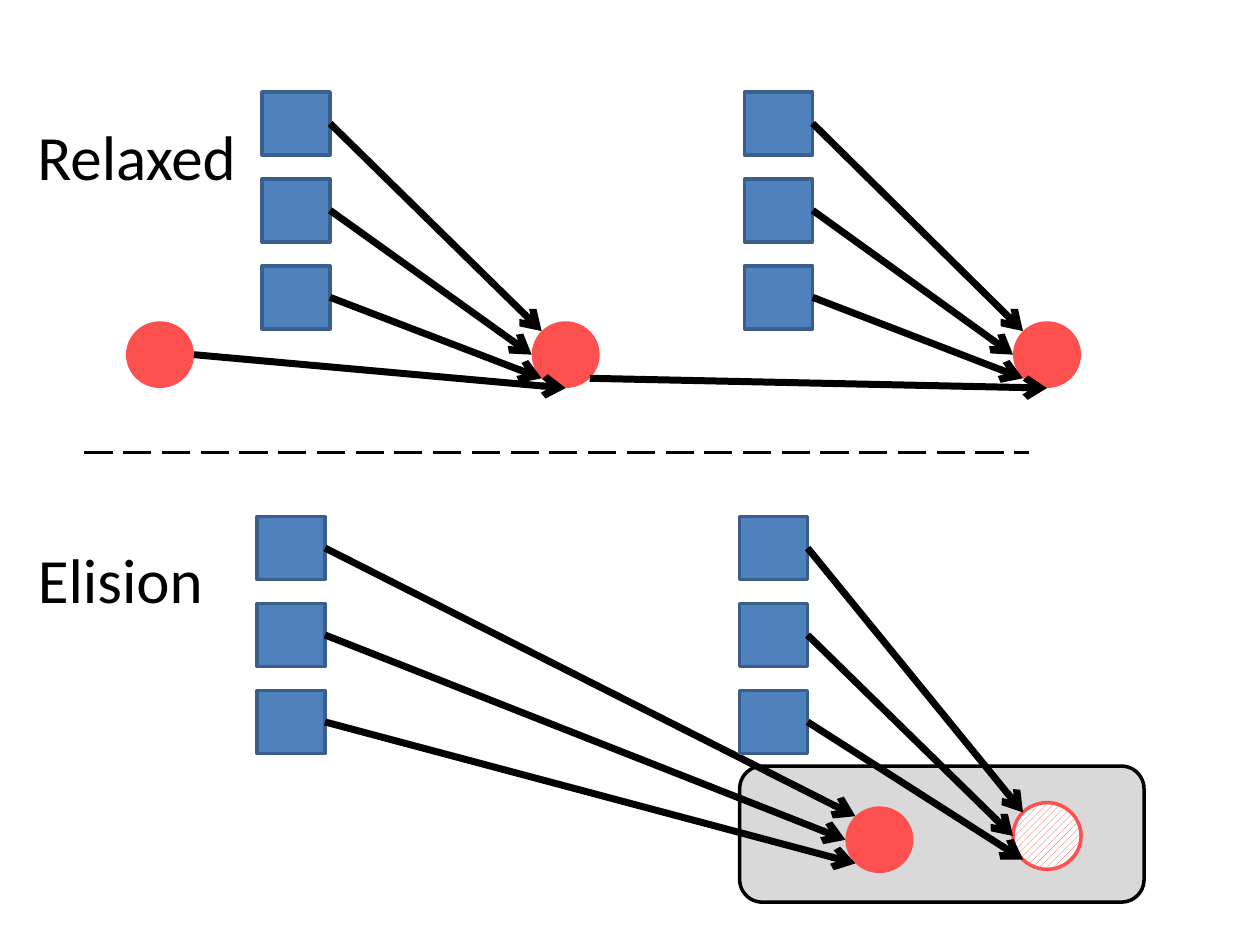
import math
from dataclasses import dataclass

import pptx
import pptx.dml.color
import pptx.enum.dml
import pptx.enum.shapes
import pptx.enum.text
import pptx.oxml
import pptx.oxml.ns
import pptx.util

Inches = pptx.util.Inches
Points = pptx.util.Pt
Shape = pptx.enum.shapes.MSO_SHAPE
color = pptx.dml.color.RGBColor.from_string


@dataclass(frozen=True)
class Theme:
    font: str = "Calibri"
    label_size: int = 36
    ink: str = "000000"
    paper: str = "FFFFFF"
    square: str = "4F81BD"
    square_edge: str = "3A5F8C"
    circle: str = "FF5050"
    panel: str = "D9D9D9"
    outline: int = 2
    arrow: int = 4


THEME = Theme()
SQUARE = (0.54, 0.5)
SQUARE_STEP = 0.69
CIRCLE = (0.54, 0.53)
RIGHT_SIDE = 3


def add_box(slide, kind, left, top, size, fill, edge=None):
    width, height = size
    shape = slide.shapes.add_shape(
        kind, Inches(left), Inches(top), Inches(width), Inches(height))
    shape.shadow.inherit = False
    shape.fill.solid()
    shape.fill.fore_color.rgb = color(fill)
    if edge:
        shape.line.color.rgb = color(edge)
        shape.line.width = Points(THEME.outline)
    else:
        shape.line.fill.background()
    return shape


def add_squares(slide, left, top):
    return [add_box(slide, Shape.RECTANGLE, left, top + row * SQUARE_STEP,
                    SQUARE, THEME.square, THEME.square_edge)
            for row in range(3)]


def add_circle(slide, left, top):
    return add_box(slide, Shape.OVAL, left, top, CIRCLE, THEME.circle)


def add_hatched_circle(slide, left, top):
    circle = add_box(slide, Shape.OVAL, left, top, CIRCLE, THEME.paper, THEME.circle)
    circle.fill.patterned()
    circle.fill.pattern = pptx.enum.dml.MSO_PATTERN.WIDE_UPWARD_DIAGONAL
    circle.fill.fore_color.rgb = color(THEME.circle)
    circle.fill.back_color.rgb = color(THEME.paper)
    return circle


def rim_point(circle, degrees):
    """Point on the circle's edge, clockwise from its right side."""
    angle = math.radians(degrees)
    x = circle.left + circle.width / 2 * (1 + math.cos(angle))
    y = circle.top + circle.height / 2 * (1 + math.sin(angle))
    return round(x), round(y)


def add_line(slide, start, end, width):
    line = slide.shapes.add_connector(
        pptx.enum.shapes.MSO_CONNECTOR.STRAIGHT, *start, *end)
    line.line.color.rgb = color(THEME.ink)
    line.line.width = Points(width)
    pptx.oxml.ns.qn("a:effectLst")
    line._element.spPr.append(pptx.oxml.parse_xml(
        f'<a:effectLst {pptx.oxml.ns.nsdecls("a")}/>'))
    return line


def add_arrow(slide, start, end):
    arrow = add_line(slide, start, end, THEME.arrow)
    outline = arrow._element.spPr.find(pptx.oxml.ns.qn("a:ln"))
    outline.append(pptx.oxml.parse_xml(
        f'<a:tailEnd {pptx.oxml.ns.nsdecls("a")} type="arrow"/>'))
    return arrow


def add_fan(slide, squares, circle):
    """Arrows from each square to the upper left, left and lower left rim."""
    for square, degrees in zip(squares, (225, 180, 135)):
        start = (square.left + square.width, square.top + square.height // 2)
        arrow = add_arrow(slide, start, rim_point(circle, degrees))
        arrow.begin_connect(square, RIGHT_SIDE)


def add_label(slide, text, left, top):
    box = slide.shapes.add_textbox(
        Inches(left), Inches(top), Inches(1.91), Inches(0.71))
    box.text_frame.word_wrap = True
    box.text_frame.auto_size = pptx.enum.text.MSO_AUTO_SIZE.SHAPE_TO_FIT_TEXT
    paragraph = box.text_frame.paragraphs[0]
    paragraph.text = text
    paragraph.alignment = pptx.enum.text.PP_ALIGN.CENTER
    paragraph.font.name = THEME.font
    paragraph.font.size = Points(THEME.label_size)
    paragraph.font.color.rgb = color(THEME.ink)


def add_relaxed(slide):
    add_label(slide, "Relaxed", 0.13, 0.88)
    first = add_circle(slide, 1, 2.55)
    circles = []
    for squares_left, circle_left in ((2.08, 4.22), (5.91, 8.04)):
        squares = add_squares(slide, squares_left, 0.73)
        circle = add_circle(slide, circle_left, 2.55)
        add_fan(slide, squares, circle)
        circles.append(circle)

    # Chain through the circles
    middle, last = circles
    add_arrow(slide, rim_point(first, 0), rim_point(middle, 90))
    add_arrow(slide, rim_point(middle, 45), rim_point(last, 90))


def add_elision(slide):
    add_label(slide, "Elision", 0, 4.24)
    add_box(slide, Shape.ROUNDED_RECTANGLE, 5.87, 6.08, (3.21, 1.08),
            THEME.panel, THEME.ink)
    for squares_left, make_circle, circle_left, circle_top in (
            (2.04, add_circle, 6.71, 6.4),
            (5.87, add_hatched_circle, 8.04, 6.37)):
        squares = add_squares(slide, squares_left, 4.1)
        circle = make_circle(slide, circle_left, circle_top)
        add_fan(slide, squares, circle)


def main():
    presentation = pptx.Presentation()
    presentation.slide_width = Inches(10)
    presentation.slide_height = Inches(7.5)
    slide = presentation.slides.add_slide(presentation.slide_layouts[6])

    add_relaxed(slide)

    # Divider between the two schemes
    divider = add_line(slide, (Inches(0.67), Inches(3.59)),
                       (Inches(8.17), Inches(3.59)), THEME.outline)
    divider.line.dash_style = pptx.enum.dml.MSO_LINE.LONG_DASH

    add_elision(slide)
    presentation.save("out.pptx")


if __name__ == "__main__":
    main()
